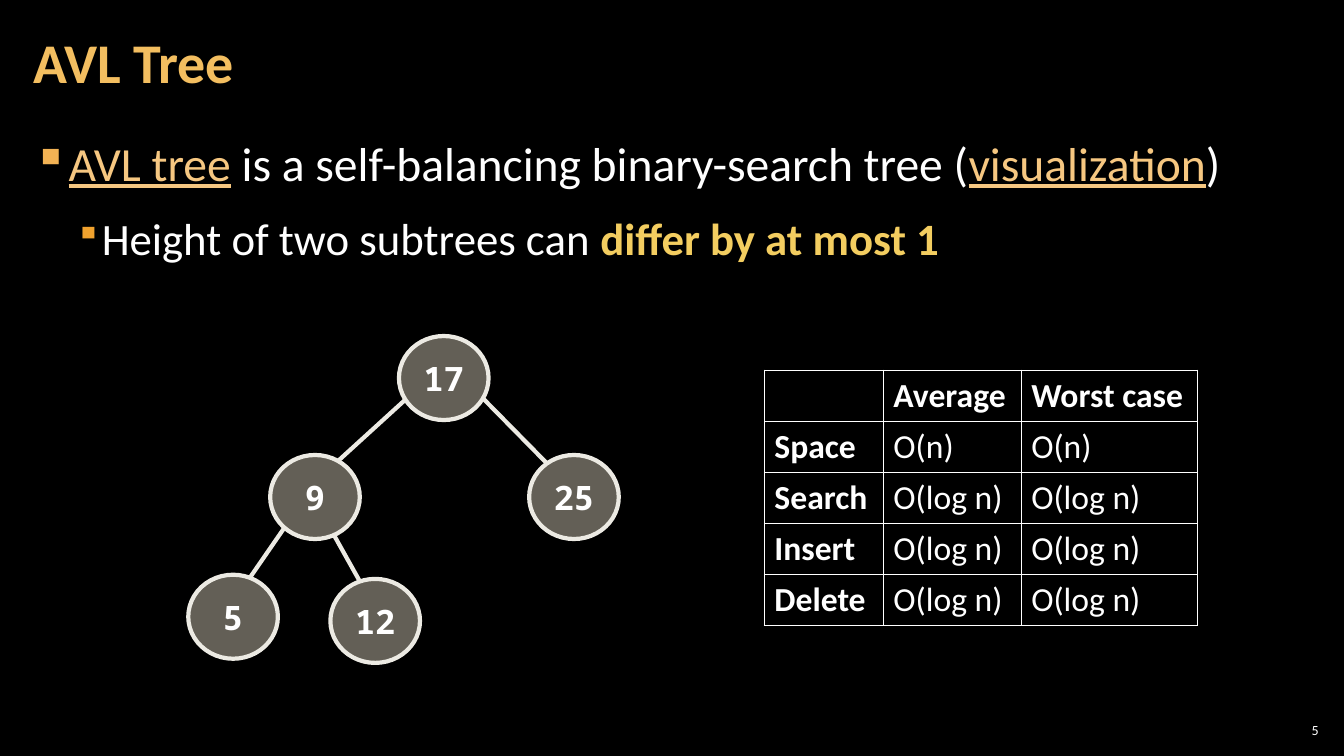
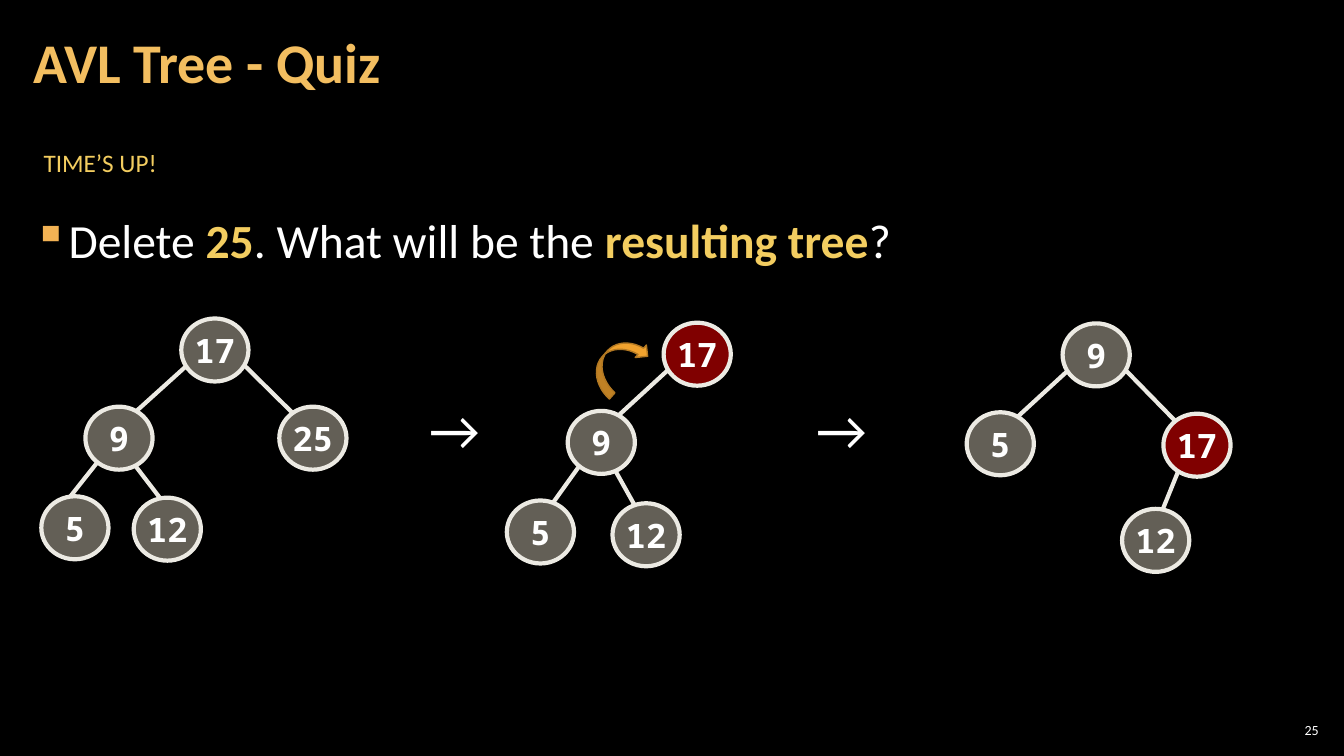
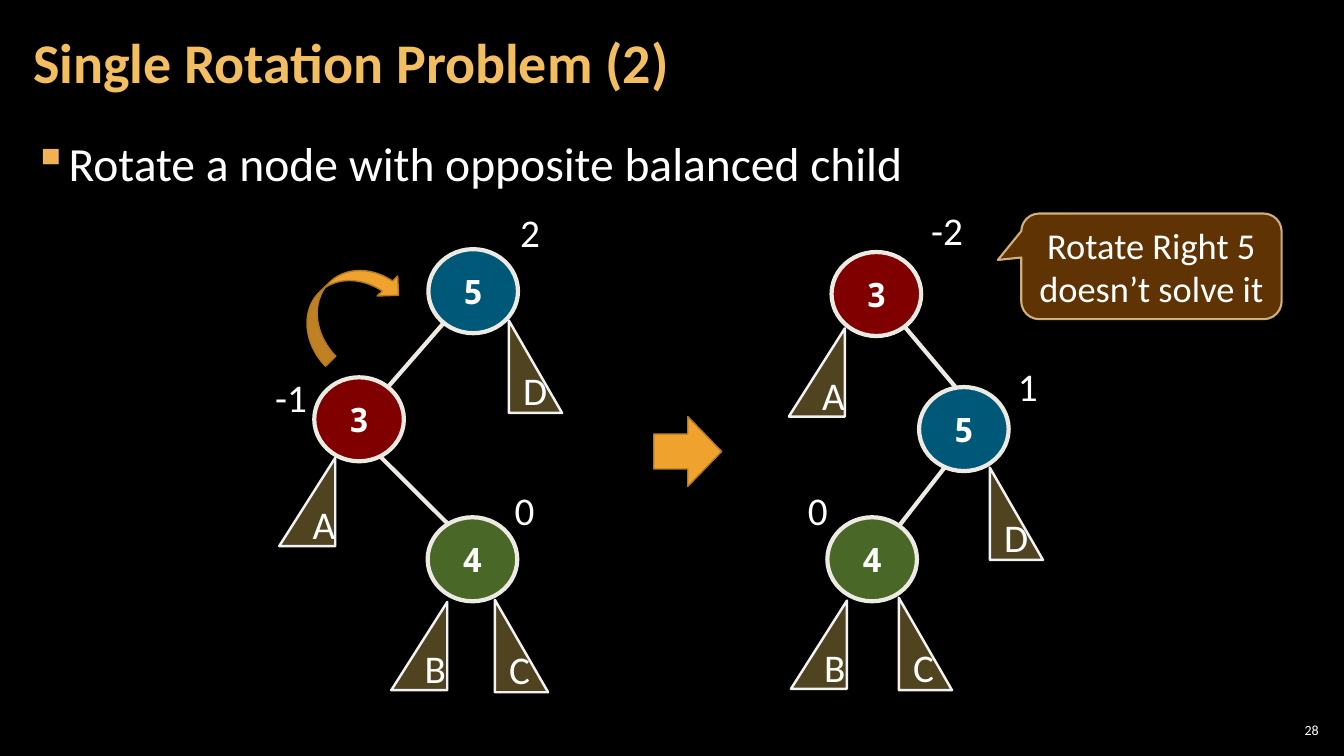
from math import cos, radians, sin

from lxml import etree
from pptx import Presentation
from pptx.dml.color import RGBColor
from pptx.enum.shapes import MSO_CONNECTOR, MSO_SHAPE
from pptx.enum.text import MSO_ANCHOR, PP_ALIGN
from pptx.oxml.ns import qn
from pptx.util import Pt

BLACK = RGBColor(0x00, 0x00, 0x00)
WHITE = RGBColor(0xFF, 0xFF, 0xFF)
TITLE_GOLD = RGBColor(0xF3, 0xBE, 0x60)
ACCENT_GOLD = RGBColor(0xF3, 0xCD, 0x60)
LINK_GOLD = RGBColor(0xF6, 0xC7, 0x81)
BULLET_GOLD = RGBColor(0xF2, 0xB2, 0x54)
ORANGE = RGBColor(0xF0, 0xA2, 0x2E)
DARK_ORANGE = RGBColor(0xB2, 0x78, 0x22)
NODE_LINE = RGBColor(0xEC, 0xEA, 0xE3)
TAUPE = RGBColor(0xC7, 0xBF, 0xAC)
RED = RGBColor(0xFF, 0x00, 0x00)
BLUE = RGBColor(0x00, 0xB0, 0xF0)
GREEN = RGBColor(0x92, 0xD0, 0x50)
SUBTREE_LINE = RGBColor(0xF2, 0xF2, 0xF2)
CALLOUT_FILL = RGBColor(0x66, 0x36, 0x06)
CALLOUT_LINE = RGBColor(0xF8, 0xD4, 0x9E)

STRAIGHT = MSO_CONNECTOR.STRAIGHT
ELLIPSE = MSO_SHAPE.OVAL
TRIANGLE = MSO_SHAPE.RIGHT_TRIANGLE
CALLOUT = MSO_SHAPE.ROUNDED_RECTANGULAR_CALLOUT
CURVED_ARROW = MSO_SHAPE.CURVED_DOWN_ARROW
BLOCK_ARROW = MSO_SHAPE.RIGHT_ARROW
TOP = MSO_ANCHOR.TOP
MIDDLE = MSO_ANCHOR.MIDDLE
LEFT = PP_ALIGN.LEFT
CENTER = PP_ALIGN.CENTER
RIGHT = PP_ALIGN.RIGHT

TEXT_FONT = "Calibri"
NODE_FONT = "Noto Sans Mono"
BIG_NODE = (64, 60)
SMALL_NODE = (48, 45)
STRONG = {"color": ACCENT_GOLD, "bold": True}
LINK = {"color": LINK_GOLD, "underline": True}
BODY_LEVELS = [
    {"size": 34, "margin": 24, "hanging": 24, "bullet": BULLET_GOLD, "scale": 100},
    {"size": 32, "margin": 48, "hanging": 18, "bullet": ORANGE, "scale": 80},
]


def apply(target, values):
    for name, value in values.items():
        setattr(target, name, value)


def box_of(left, top, width, height):
    return Pt(left), Pt(top), Pt(width), Pt(height)


def add_span(para, text, size, color=WHITE, font=TEXT_FONT, **values):
    span = para.add_run()
    span.text = text
    apply(span.font, {"size": Pt(size), "name": font, **values})
    span.font.color.rgb = color


def add_text(page, box, text, size, inset=None, anchor=TOP, wrap=True,
             para_values=None, **values):
    frame = page.shapes.add_textbox(*box_of(*box)).text_frame
    apply(frame, {"word_wrap": wrap, "vertical_anchor": anchor})
    if inset:
        across, down = map(Pt, inset)
        apply(frame, {"margin_left": across, "margin_right": across,
                      "margin_top": down, "margin_bottom": down})
    apply(frame.paragraphs[0], para_values or {})
    if text:
        add_span(frame.paragraphs[0], text, size, **values)
    return frame


def fade(parent, percent):
    color = parent.find(qn("a:solidFill")).find(qn("a:srgbClr"))
    etree.SubElement(color, qn("a:alpha"), val=str(percent * 1000))


def add_figure(page, kind, box, fill, line, weight, alpha=None):
    figure = page.shapes.add_shape(kind, *box_of(*box))
    figure.shadow.inherit = False
    figure.fill.solid()
    figure.fill.fore_color.rgb = fill
    figure.line.color.rgb = line
    figure.line.width = Pt(weight)
    if alpha:
        fade(figure.element.spPr, alpha)
    return figure


def label_figure(figure, text, size, wrap=True, **values):
    frame = figure.text_frame
    apply(frame, {"word_wrap": wrap, "vertical_anchor": MIDDLE})
    frame.paragraphs[0].alignment = CENTER
    add_span(frame.paragraphs[0], text, size, **values)


def add_arrow(page, kind, box, rotation=0):
    arrow = add_figure(page, kind, box, ORANGE, DARK_ORANGE, 1)
    arrow.rotation = rotation


def add_bullet(para, level):
    properties = para._p.get_or_add_pPr()
    apply(para, {"line_spacing": 1.05, "space_before": Pt(6), "space_after": Pt(6)})
    properties.set("marL", str(Pt(level["margin"])))
    properties.set("indent", str(-Pt(level["hanging"])))
    color = etree.SubElement(properties, qn("a:buClr"))
    etree.SubElement(color, qn("a:srgbClr"), val=str(level["bullet"]))
    etree.SubElement(properties, qn("a:buSzPct"), val=str(level["scale"] * 1000))
    etree.SubElement(properties, qn("a:buChar"), char="▪")


def add_body(page, box, lines):
    frame = add_text(page, box, "", 34, inset=(8.64, 3))
    for depth, spans in enumerate(lines):
        para = frame.add_paragraph() if depth else frame.paragraphs[0]
        level = BODY_LEVELS[depth]
        add_bullet(para, level)
        for text, values in spans:
            add_span(para, text, level["size"], **values)


def add_page(deck, title, number, lines, body_top=90.5):
    page = deck.slides.add_slide(deck.slide_layouts[6])
    add_body(page, (15, body_top, 930, 529 - body_top), lines)
    add_text(page, (15, 3, 754, 87), title, 40, inset=(8.64, 3), anchor=MIDDLE,
             para_values={"line_spacing": 0.9}, color=TITLE_GOLD, bold=True)
    add_text(page, (911, 514, 34, 15), number, 10, inset=(3, 3), anchor=MIDDLE,
             para_values={"alignment": RIGHT})
    return page


def add_tree(page, left, top, size, nodes, edges):
    width, height = size

    def rim(name, angle):
        x, y, _ = nodes[name]
        turn = radians(angle)
        return (Pt(left + x + width / 2 * (1 + cos(turn))),
                Pt(top + y + height / 2 * (1 + sin(turn))))

    for parent, child, leave, arrive in edges:
        edge = page.shapes.add_connector(STRAIGHT, *rim(parent, leave), *rim(child, arrive))
        edge.line.color.rgb = NODE_LINE
        edge.line.width = Pt(3)
        etree.SubElement(edge.element.spPr, qn("a:effectLst"))
    for name, (x, y, color) in nodes.items():
        node = add_figure(page, ELLIPSE, (left + x, top + y, width, height),
                          color, NODE_LINE, 3, alpha=50)
        label_figure(node, name, 24, wrap=False, font=NODE_FONT, bold=True)


def add_balanced_tree(page, left, top, nodes, edges, subtrees, balances):
    add_tree(page, left, top, BIG_NODE, nodes, edges)
    for name, x, y, mirrored in subtrees:
        size = (40, 63) if mirrored else (38, 66)
        subtree = add_figure(page, TRIANGLE, (left + x, top + y, *size),
                             ACCENT_GOLD, SUBTREE_LINE, 1.75, alpha=33)
        if mirrored:
            subtree.element.spPr.get_or_add_xfrm().set("flipH", "1")
        label_figure(subtree, name, 28)
    for text, x, y in balances:
        add_text(page, (left + x, top + y, 46, 41), text, 28)


def add_cost_table(page, left, top, widths, row_height, rows):
    table = page.shapes.add_table(len(rows), len(widths), *box_of(
        left, top, sum(widths), row_height * len(rows))).table
    apply(table, {"first_row": False, "horz_banding": False})
    for column, width in zip(table.columns, widths):
        column.width = Pt(width)
    for r, row in enumerate(rows):
        table.rows[r].height = Pt(row_height)
        for c, text in enumerate(row):
            cell = table.cell(r, c)
            properties = cell._tc.get_or_add_tcPr()
            for side in ("a:lnL", "a:lnR", "a:lnT", "a:lnB"):
                border = etree.SubElement(properties, qn(side), w=str(Pt(1)))
                fill = etree.SubElement(border, qn("a:solidFill"))
                etree.SubElement(fill, qn("a:srgbClr"), val=str(WHITE))
            cell.fill.background()
            if text:
                add_span(cell.text_frame.paragraphs[0], text, 24, bold=r == 0 or c == 0)


def add_callout(page, box, text):
    callout = add_figure(page, CALLOUT, box, CALLOUT_FILL, CALLOUT_LINE, 1.5, alpha=95)
    fade(callout.line._get_or_add_ln(), 80)
    for index, value in enumerate((-0.59, -0.06, 0.17)):
        callout.adjustments[index] = value
    label_figure(callout, text, 26)


def build_overview(deck):
    page = add_page(deck, "AVL Tree", "5", [
        [("AVL tree", LINK), (" is a self-balancing binary-search tree (", {}),
         ("visualization", LINK), (")", {})],
        [("Height of two subtrees can ", {}), ("differ by at most 1", STRONG)],
    ])
    logarithmic = ["O(log n)", "O(log n)"]
    add_cost_table(page, 546, 264.5, (85, 98.5, 126), 36.5, [
        ["", "Average", "Worst case"],
        ["Space", "O(n)", "O(n)"],
        *[[action, *logarithmic] for action in ("Search", "Insert", "Delete")],
    ])
    add_tree(page, 134.5, 240, BIG_NODE,
             {"17": (150.5, 0, TAUPE), "25": (243.5, 85, TAUPE), "9": (58.5, 85, TAUPE),
              "5": (0, 170.5, TAUPE), "12": (101.5, 173.5, TAUPE)},
             [("17", "9", 149, -59), ("17", "25", 29, -127),
              ("9", "5", 133, -68), ("9", "12", 65, -110)])


def build_quiz(deck):
    page = add_page(deck, "AVL Tree - Quiz", "25", [
        [("Delete ", {}), ("25", STRONG), (". What will be the ", {}),
         ("resulting tree", STRONG), ("?", {})],
    ], body_top=145.5)
    add_text(page, (24, 101.5, 96, 29), "TIME’S UP!", 18, wrap=False, color=ACCENT_GOLD)
    for left in (299.5, 576):
        add_text(page, (left, 278.5, 54, 55.5), "→", 40, wrap=False)
    add_tree(page, 29.5, 227.5, SMALL_NODE,
             {"17": (100, 0, TAUPE), "25": (170, 63, TAUPE), "9": (31.5, 63, TAUPE),
              "5": (0, 127, TAUPE), "12": (66, 128, TAUPE)},
             [("17", "9", 149, -59), ("17", "25", 29, -127),
              ("9", "5", 130, -98), ("9", "12", 61, -102)])
    add_tree(page, 362, 230.5, SMALL_NODE,
             {"17": (112, 0, RED), "9": (43.5, 63, TAUPE),
              "5": (0, 127, TAUPE), "12": (75.5, 129, TAUPE)},
             [("17", "9", 150, -59), ("9", "5", 131, -68), ("9", "12", 65, -110)])
    add_arrow(page, CURVED_ARROW, (418.5, 247.5, 47, 24), 311.8)
    add_tree(page, 690.5, 231, SMALL_NODE,
             {"9": (68.5, 0, TAUPE), "5": (0, 63.5, TAUPE),
              "17": (140.5, 64.5, RED), "12": (111, 132.5, TAUPE)},
             [("9", "5", 149, -59), ("9", "17", 29, -130), ("17", "12", 124, -78)])


def build_rotation(deck):
    page = add_page(deck, "Single Rotation Problem (2)", "28",
                    [[("Rotate a node with opposite balanced child", {})]])
    add_balanced_tree(page, 189.5, 145.5,
                      {"5": (116.5, 32.5, BLUE), "3": (35, 124, RED), "4": (116, 224, GREEN)},
                      [("5", "3", 131, -50), ("3", "4", 62, -123)],
                      [("D", 174, 83.5, False), ("A", 10, 181.5, True),
                       ("C", 164, 283, False), ("B", 90, 284.5, True)],
                      [("2", 175, 0), ("-1", 0, 117.5), ("0", 171, 198)])
    add_callout(page, (729.5, 152.5, 186, 75.5), "Rotate Right 5 doesn’t solve it")
    add_arrow(page, CURVED_ARROW, (206.5, 197.5, 83, 41), 315.8)
    add_balanced_tree(page, 563.5, 144,
                      {"5": (93, 132.5, BLUE), "3": (30.5, 36, RED), "4": (27.5, 225.5, GREEN)},
                      [("3", "5", 51, -100), ("5", "4", 115, -53)],
                      [("D", 143.5, 190, False), ("A", 0, 90.5, True),
                       ("C", 78.5, 283, False), ("B", 1.5, 285, True)],
                      [("0", 6.5, 199.5), ("1", 156.5, 111.5), ("-2", 94.5, 0)])
    add_arrow(page, BLOCK_ARROW, (467, 297.5, 48.5, 50))


def main():
    deck = Presentation()
    apply(deck, {"slide_width": Pt(960), "slide_height": Pt(540)})
    background = deck.slide_master.background.fill
    background.solid()
    background.fore_color.rgb = BLACK
    for build in (build_overview, build_quiz, build_rotation):
        build(deck)
    deck.save("out.pptx")


if __name__ == "__main__":
    main()
